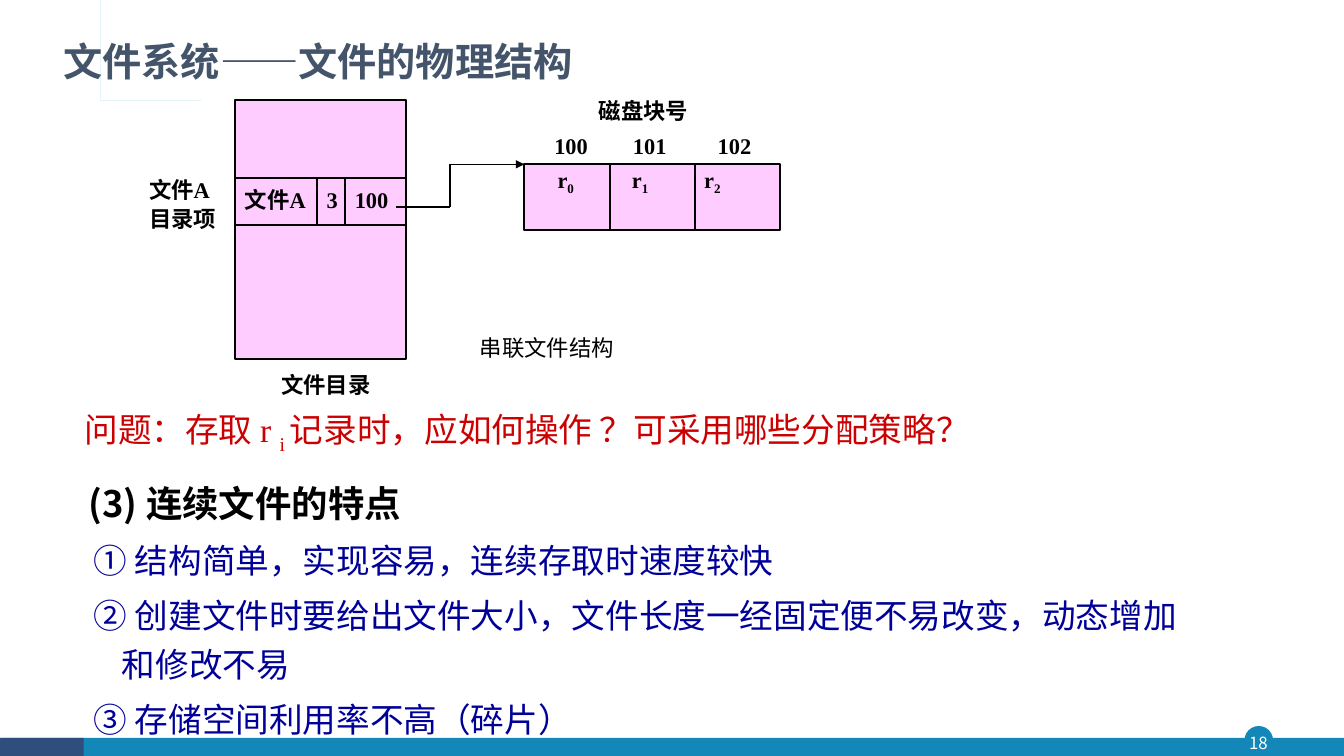
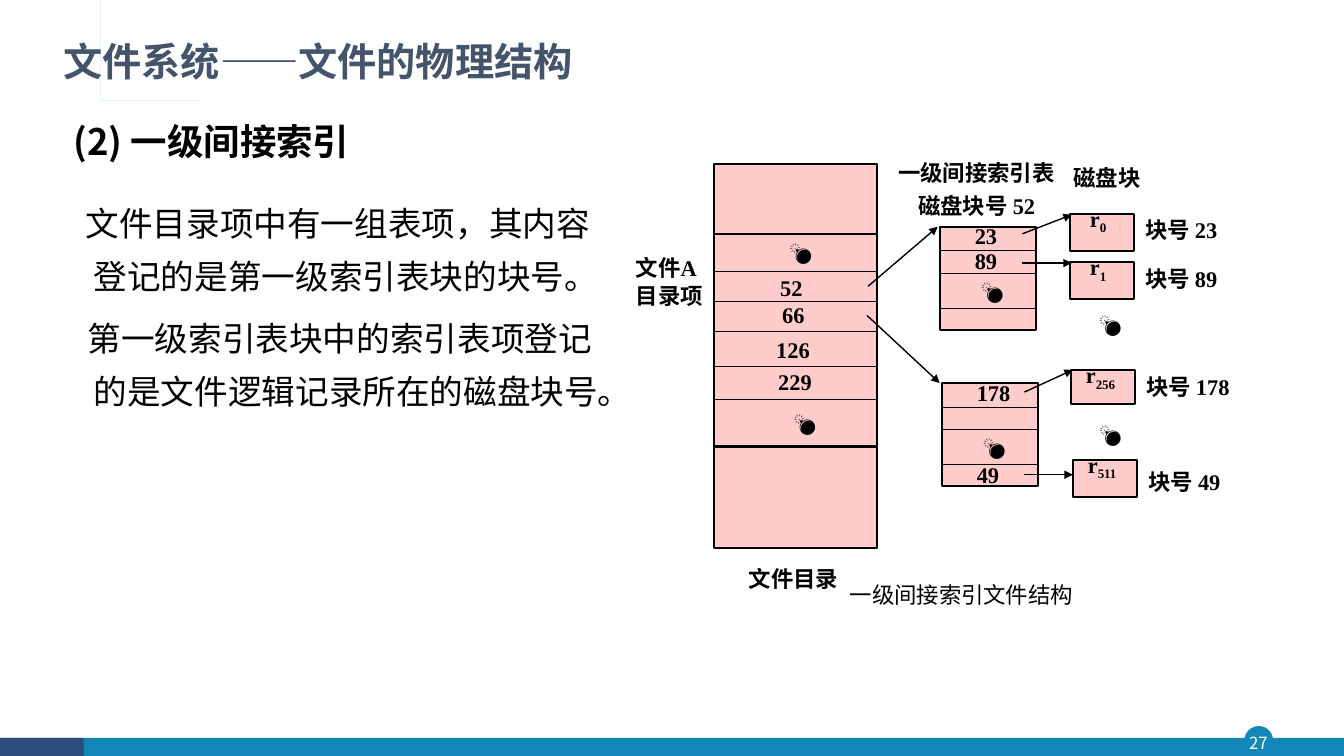
from dataclasses import dataclass, replace

from lxml.etree import SubElement
from pptx import Presentation
from pptx.dml.color import RGBColor as RGB
from pptx.enum.shapes import MSO_CONNECTOR as Connector, MSO_SHAPE as Shape
from pptx.enum.text import MSO_ANCHOR as Anchor, MSO_AUTO_SIZE as AutoSize, PP_ALIGN as Align
from pptx.oxml.ns import qn
from pptx.util import Inches, Pt

SANS = "Noto Sans CJK SC"
SERIF = "Times New Roman"
BOMB = "💣"


@dataclass(frozen=True)
class TextStyle:
    size: float
    pitch: float  # line height in points
    color: str = "000000"
    bold: bool = False
    latin: str = SERIF


@dataclass(frozen=True)
class Theme:
    band: str = "1387B7"
    band_dark: str = "2E4E7E"
    ornament: str = "28A9D6"
    ink: str = "000000"
    directory: str = "FFCCFF"
    index: str = "FFCCCC"
    title: TextStyle = TextStyle(28, 31, "44546A", True, SANS)
    heading: TextStyle = TextStyle(26, 47, bold=True, latin=SANS)
    body: TextStyle = TextStyle(24, 38)
    feature: TextStyle = TextStyle(24, 35, "000099")
    question: TextStyle = TextStyle(24, 36.5, "CC0000")
    label: TextStyle = TextStyle(16, 19.5, bold=True)
    caption: TextStyle = TextStyle(16, 19.5)
    entry: TextStyle = TextStyle(16, 15.5, bold=True)
    record: TextStyle = TextStyle(16, 12, bold=True)
    page: TextStyle = TextStyle(12, 15, "FFFFFF", latin=SANS)


THEME = Theme()


# Text helpers
def write(paragraph, content, style, align=Align.LEFT):
    """Add runs; in a tuple every second part is a subscript."""
    paragraph.alignment = align
    paragraph.line_spacing = Pt(style.pitch)
    parts = content if isinstance(content, tuple) else (content,)
    for position, part in enumerate(parts):
        run = paragraph.add_run()
        run.text = part
        run.font.size = Pt(style.size)
        run.font.bold = style.bold
        run.font.name = style.latin
        run.font.color.rgb = RGB.from_string(style.color)
        properties = run._r.get_or_add_rPr()
        SubElement(properties, qn("a:ea")).set("typeface", SANS)
        if position % 2:
            properties.set("baseline", "-25000")


def next_paragraph(frame):
    first = frame.paragraphs[0]
    return frame.add_paragraph() if first.runs else first


def label(slide, left, top, width, *lines, style=THEME.label, align=Align.LEFT):
    height = 0.1 + len(lines) * style.pitch / 72
    frame = slide.shapes.add_textbox(
        Inches(left), Inches(top), Inches(width), Inches(height)).text_frame
    frame.word_wrap = True
    frame.margin_right = 0
    for line in lines:
        write(next_paragraph(frame), line, style, align)


def body_text(slide, box, items):
    """Fill the body; an item is text, style, margin, first indent, space before."""
    body = slide.placeholders[1]
    body.left, body.top, body.width, body.height = map(Inches, box)
    frame = body.text_frame
    frame.auto_size = AutoSize.NONE
    frame.vertical_anchor = Anchor.TOP
    for text, style, margin, indent, before in items:
        paragraph = next_paragraph(frame)
        properties = paragraph._p.get_or_add_pPr()
        properties.set("marL", str(Inches(margin)))
        properties.set("indent", str(Inches(indent)))
        SubElement(properties, qn("a:buNone"))
        paragraph.space_before = Pt(before)
        write(paragraph, text, style)


# Drawing helpers
def paint(shape, fill, outline=None, weight=1.5):
    shape.shadow.inherit = False
    shape.fill.solid()
    shape.fill.fore_color.rgb = RGB.from_string(fill)
    if outline:
        shape.line.color.rgb = RGB.from_string(outline)
        shape.line.width = Pt(weight)
    else:
        shape.line.fill.background()
    return shape


def block(slide, box, fill, outline=None, weight=1.5, kind=Shape.RECTANGLE):
    return paint(slide.shapes.add_shape(kind, *map(Inches, box)), fill, outline, weight)


def record_block(slide, box, fill, number, inset, style):
    frame = block(slide, box, fill, THEME.ink).text_frame
    frame.vertical_anchor = Anchor.TOP
    frame.margin_left, frame.margin_right = Inches(inset), 0
    write(frame.paragraphs[0], ("r", number), style)


def line(slide, start, end, weight=1.0, arrow=False):
    connector = slide.shapes.add_connector(
        Connector.STRAIGHT, *map(Inches, (*start, *end)))
    connector.line.color.rgb = RGB.from_string(THEME.ink)
    connector.line.width = Pt(weight)
    properties = connector.element.spPr
    if arrow:
        SubElement(properties.find(qn("a:ln")), qn("a:tailEnd")).set("type", "triangle")
    SubElement(properties, qn("a:effectLst"))


def ruled_block(slide, box, fill, rules):
    """A block split by rules, each given as (offset from top, weight)."""
    left, top, width, _ = box
    block(slide, box, fill, THEME.ink)
    for offset, weight in rules:
        line(slide, (left, top + offset), (left + width, top + offset), weight)


# Shared frame
def dress_layout(layout, slide):
    """Draw the bands and the title ornament, then hand them to the layout."""
    builder = slide.shapes.build_freeform(0.54, 0.39, scale=Inches(1))
    builder.add_line_segments([
        (0.54, 0.85), (1.87, 0.85), (1.87, 0.87), (0.52, 0.87), (0.52, 0.41),
        (0.47, 0.41), (0.47, 0.87), (0.36, 0.87), (0.36, 0.39), (0.39, 0.39),
        (0.39, 0.84), (0.44, 0.84), (0.44, 0.39)], close=True)
    parts = [
        block(slide, (12.35, 7.21, 0.27, 0.27), THEME.band, THEME.band, 1, Shape.OVAL),
        block(slide, (0.01, 7.32, 13.32, 0.19), THEME.band),
        block(slide, (0, 7.32, 0.83, 0.19), THEME.band_dark),
        paint(builder.convert_to_shape(), THEME.ornament),
    ]
    for part in parts:
        layout.shapes.element.append(part.element)
    title = layout.placeholders[0]
    title.left, title.top, title.width, title.height = map(Inches, (0.53, 0.34, 10.49, 0.56))


def start_slide(slide, page):
    frame = slide.shapes.title.text_frame
    frame.auto_size = AutoSize.NONE
    frame.vertical_anchor = Anchor.MIDDLE
    write(frame.paragraphs[0], "文件系统——文件的物理结构", THEME.title)
    number = slide.shapes.add_textbox(
        *map(Inches, (12.32, 7.21, 0.32, 0.31))).text_frame
    number.margin_left = number.margin_right = number.margin_top = number.margin_bottom = 0
    number.vertical_anchor = Anchor.MIDDLE
    number.word_wrap = True
    write(number.paragraphs[0], page, THEME.page, Align.CENTER)


# Contiguous file
def contiguous_diagram(slide, x, y):
    ruled_block(slide, (x, y, 1.7, 2.57), THEME.directory, [(0.78, 1.5), (1.24, 1.5)])
    for offset in (0.81, 1.09):
        line(slide, (x + offset, y + 0.78), (x + offset, y + 1.24), 1.5)
    for offset, width, text in ((0, 0.81, "文件A"), (0.81, 0.28, "3"), (1.09, 0.61, "100")):
        label(slide, x + offset, y + 0.8, width, text)
    label(slide, x - 0.95, y + 0.69, 1.04, "文件A", "目录项",
          style=replace(THEME.label, pitch=20.5))
    label(slide, x + 0.36, y + 2.64, 1.1, "文件目录")

    # Disk blocks
    blocks_x, blocks_y, block_width = x + 2.87, y + 0.64, 2.54 / 3
    for column, (inset, label_offset) in enumerate(((0.33, 0.2), (0.22, 0.98), (0.09, 1.82))):
        box = (blocks_x + column * block_width, blocks_y, block_width, 0.65)
        record_block(slide, box, THEME.directory, str(column), inset, THEME.label)
        label(slide, blocks_x + label_offset, y + 0.27, 0.57, str(100 + column))
    label(slide, x + 3.51, y - 0.08, 1.32, "磁盘块号")
    label(slide, x + 2.33, y + 2.27, 1.85, "串联文件结构", style=THEME.caption)

    # Pointer from the directory entry to the first block
    turn = x + 2.13
    line(slide, (x + 1.6, y + 1.06), (turn, y + 1.06), 1.5)
    line(slide, (turn, y + 1.06), (turn, blocks_y), 1.5)
    line(slide, (turn, blocks_y), (blocks_x, blocks_y), arrow=True)


def contiguous_slide(slide):
    start_slide(slide, "18")
    contiguous_diagram(slide, 2.33, 0.99)
    label(slide, 0.74, 3.96, 9.2,
          ("问题：存取 r ", "i ", "记录时，应如何操作 ？可采用哪些分配策略？"),
          style=THEME.question)
    features = (
        "① 结构简单，实现容易，连续存取时速度较快",
        "② 创建文件时要给出文件大小，文件长度一经固定便不易改变，动态增加和修改不易",
        "③ 存储空间利用率不高（碎片）",
    )
    body_text(slide, (0.53, 4.5, 11.45, 2.94),
              [("(3) 连续文件的特点", THEME.heading, 0.25, 0, 0)]
              + [(text, THEME.feature, 0.58, -0.28, 4.5) for text in features])


# Single indirect index
def index_table(slide, x, y, entries):
    """Four rows; entries maps a row to its text."""
    ruled_block(slide, (x, y, 0.96, 1.02), THEME.index,
                [(offset, 0.75) for offset in (0.24, 0.46, 0.81)])
    tops = (-0.04, 0.2, 0.5, 0.78)
    for row, text in entries.items():
        left = x + (0.31 if text == BOMB else 0.25)
        label(slide, left, y + tops[row], 0.6, text, style=THEME.entry)


def disk_block(slide, x, y, height, record, number, number_top):
    inset = 0.2 if len(record) == 1 else 0.15
    record_block(slide, (x, y, 0.64, height), THEME.index, record, inset, THEME.record)
    label(slide, x + 0.65, number_top, 1.13, f"块号 {number}")


def index_diagram(slide, x, y):
    # Directory with the index entries of file A
    thick, thin = 1.75, 0.75
    ruled_block(slide, (x, y, 1.62, 3.81), THEME.index,
                [(0.69, thick), (1.06, thin), (1.36, thin), (1.66, thin),
                 (2.01, thin), (2.33, thin), (2.8, thick)])
    entries = ((0.65, 0.73, BOMB), (0.56, 1.09, "52"), (0.58, 1.36, "66"),
               (0.52, 1.71, "126"), (0.54, 2.02, "229"), (0.69, 2.43, BOMB))
    for dx, dy, text in entries:
        label(slide, x + dx, y + dy, 0.6, text, style=THEME.entry)
    label(slide, x - 0.87, y + 0.84, 0.94, "文件A", "目录项")
    label(slide, x + 0.25, y + 3.92, 1.16, "文件目录")

    # Index tables
    label(slide, x + 1.73, y - 0.1, 1.84, "一级间接索引表")
    label(slide, x + 1.93, y + 0.22, 1.64, "磁盘块号 52")
    index_table(slide, x + 2.24, y + 0.62, {0: "23", 1: "89", 2: BOMB})
    index_table(slide, x + 2.26, y + 2.17, {0: "178", 2: BOMB, 3: "49"})

    # Disk blocks
    label(slide, x + 3.47, y - 0.05, 1.02, "磁盘块")
    for dx, dy, height, record, number, number_dy in (
            (3.53, 0.49, 0.37, "0", 23, 0.46), (3.53, 0.97, 0.37, "1", 89, 0.95),
            (3.54, 2.04, 0.34, "256", 178, 2.02), (3.56, 2.93, 0.37, "511", 49, 2.96)):
        disk_block(slide, x + dx, y + dy, height, record, number, y + number_dy)
    for dy in (1.45, 2.54):
        label(slide, x + 3.72, y + dy, 0.48, BOMB, style=THEME.entry)

    # Pointers
    for start_x, start_y, end_x, end_y in (
            (1.53, 1.21, 2.22, 0.62), (1.52, 1.5, 2.24, 2.17),
            (3.06, 0.69, 3.55, 0.5), (3.06, 0.98, 3.55, 0.98),
            (3.08, 2.26, 3.56, 2.04), (3.08, 3.08, 3.56, 3.08)):
        line(slide, (x + start_x, y + start_y), (x + end_x, y + end_y), arrow=True)
    label(slide, x + 1.25, y + 4.08, 2.44, "一级间接索引文件结构", style=THEME.caption)


def index_slide(slide):
    start_slide(slide, "27")
    label(slide, 0.63, 0.91, 7.38, "(2) 一级间接索引", style=THEME.heading)
    body_text(slide, (0.25, 1.83, 5.84, 2.27), [
        ("文件目录项中有一组表项，其内容登记的是第一级索引表块的块号。",
         THEME.body, 0.58, -0.08, 0),
        ("第一级索引表块中的索引表项登记的是文件逻辑记录所在的磁盘块号。",
         THEME.body, 0.58, -0.06, 6.5),
    ])
    index_diagram(slide, 7.08, 1.63)


def main():
    deck = Presentation()
    deck.slide_width, deck.slide_height = Inches(13.33), Inches(7.5)
    layout = deck.slide_layouts[1]
    first, second = (deck.slides.add_slide(layout) for _ in range(2))
    dress_layout(layout, first)
    contiguous_slide(first)
    index_slide(second)
    deck.save("out.pptx")


if __name__ == "__main__":
    main()
